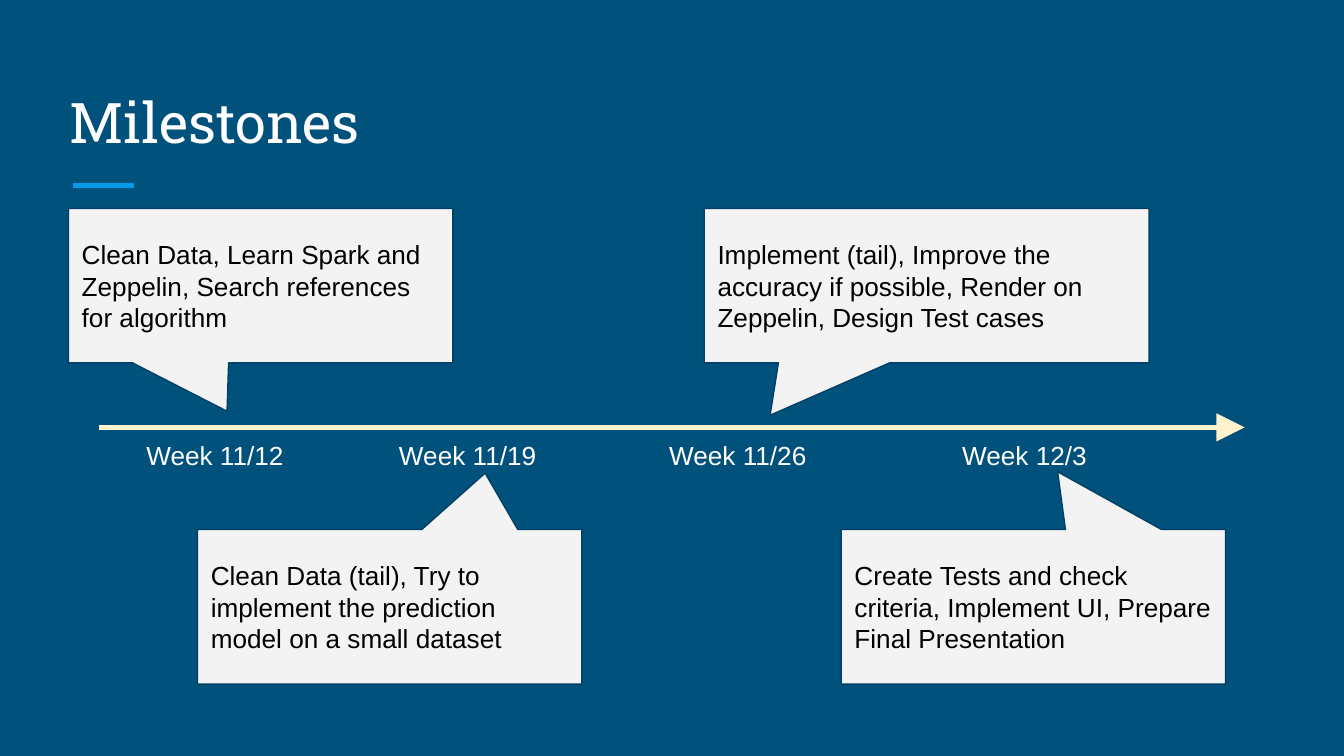
"""Build the project milestones timeline slide."""
from lxml import etree
from pptx import Presentation
from pptx.dml.color import RGBColor
from pptx.enum.shapes import MSO_CONNECTOR, MSO_SHAPE
from pptx.enum.text import MSO_ANCHOR, PP_ALIGN
from pptx.oxml.ns import qn
from pptx.util import Inches, Pt

STRAIGHT = MSO_CONNECTOR.STRAIGHT
CALLOUT = MSO_SHAPE.ROUNDED_RECTANGULAR_CALLOUT
TOP, MIDDLE, BOTTOM = MSO_ANCHOR.TOP, MSO_ANCHOR.MIDDLE, MSO_ANCHOR.BOTTOM
LEFT = PP_ALIGN.LEFT

COLORS = {
    "background": "00517C",
    "accent": "039BE5",
    "timeline": "FFF2CC",
    "callout": "F3F3F3",
    "outline": "004065",
    "light": "FFFFFF",
    "dark": "000000",
}
TITLE = "Milestones"
WEEKS = [
    ("Week 11/12", 0.99),
    ("Week 11/19", 2.87),
    ("Week 11/26", 4.88),
    ("Week 12/3", 7.06),
]
ABOVE, BELOW = 1.55, 3.94
TASKS = [
    ("Clean Data, Learn Spark and Zeppelin, Search references for algorithm",
     0.51, ABOVE, 2.86, (1.69, 3.06)),
    ("Implement (tail), Improve the accuracy if possible, Render on Zeppelin, Design Test cases",
     5.24, ABOVE, 3.31, (5.73, 3.09)),
    ("Clean Data (tail), Try to implement the prediction model on a small dataset",
     1.47, BELOW, 2.86, (3.61, 3.52)),
    ("Create Tests and check criteria, Implement UI, Prepare Final Presentation",
     6.26, BELOW, 2.86, (7.87, 3.51)),
]
CALLOUT_HEIGHT = 1.15
TIMELINE_Y = 3.18
WEEK_TOP = 3.17


def color(name):
    return RGBColor.from_string(COLORS[name])


def write_text(shape, text, size=14, font="Arial", fill="light", anchor=TOP):
    frame = shape.text_frame
    frame.word_wrap = True
    frame.vertical_anchor = anchor
    frame.margin_left = frame.margin_right = Inches(0.1)
    frame.margin_top = frame.margin_bottom = Inches(0.1)
    paragraph = frame.paragraphs[0]
    paragraph.alignment = LEFT
    run = paragraph.add_run()
    run.text = text
    run.font.size = Pt(size)
    run.font.name = font
    run.font.color.rgb = color(fill)


def add_text(slide, text, left, top, width, height, **text_format):
    box = slide.shapes.add_textbox(Inches(left), Inches(top), Inches(width), Inches(height))
    write_text(box, text, **text_format)


def add_line(slide, start, end, y, stroke, arrow=False):
    connector = slide.shapes.add_connector(
        STRAIGHT, Inches(start), Inches(y), Inches(end), Inches(y))
    connector.line.color.rgb = color(stroke)
    connector.line.width = Pt(3)
    if arrow:
        line = connector.line._get_or_add_ln()
        etree.SubElement(line, qn("a:tailEnd"), type="triangle", w="lg", len="lg")
    etree.SubElement(connector._element.spPr, qn("a:effectLst"))


def add_callout(slide, text, left, top, width, tip):
    shape = slide.shapes.add_shape(
        CALLOUT, Inches(left), Inches(top), Inches(width), Inches(CALLOUT_HEIGHT))
    shape.adjustments[0] = (tip[0] - left) / width - 0.5
    shape.adjustments[1] = (tip[1] - top) / CALLOUT_HEIGHT - 0.5
    shape.adjustments[2] = 0
    shape.shadow.inherit = False
    shape.fill.solid()
    shape.fill.fore_color.rgb = color("callout")
    shape.line.color.rgb = color("outline")
    shape.line.width = Pt(0.75)
    write_text(shape, text, fill="dark", anchor=MIDDLE)


def main():
    presentation = Presentation()
    presentation.slide_width = Inches(10)
    presentation.slide_height = presentation.slide_width * 9 // 16
    slide = presentation.slides.add_slide(presentation.slide_layouts[6])
    slide.background.fill.solid()
    slide.background.fill.fore_color.rgb = color("background")

    add_line(slide, 0.54, 1, 1.38, "accent")
    add_text(slide, TITLE, 0.42, 0.5, 9.15, 0.75,
             size=30, font="Roboto Slab", anchor=BOTTOM)
    add_line(slide, 0.74, 9.26, TIMELINE_Y, "timeline", arrow=True)
    for week, left in WEEKS:
        add_text(slide, week, left, WEEK_TOP, 1.25, 0.42)
    for task in TASKS:
        add_callout(slide, *task)

    presentation.save("out.pptx")


if __name__ == "__main__":
    main()
